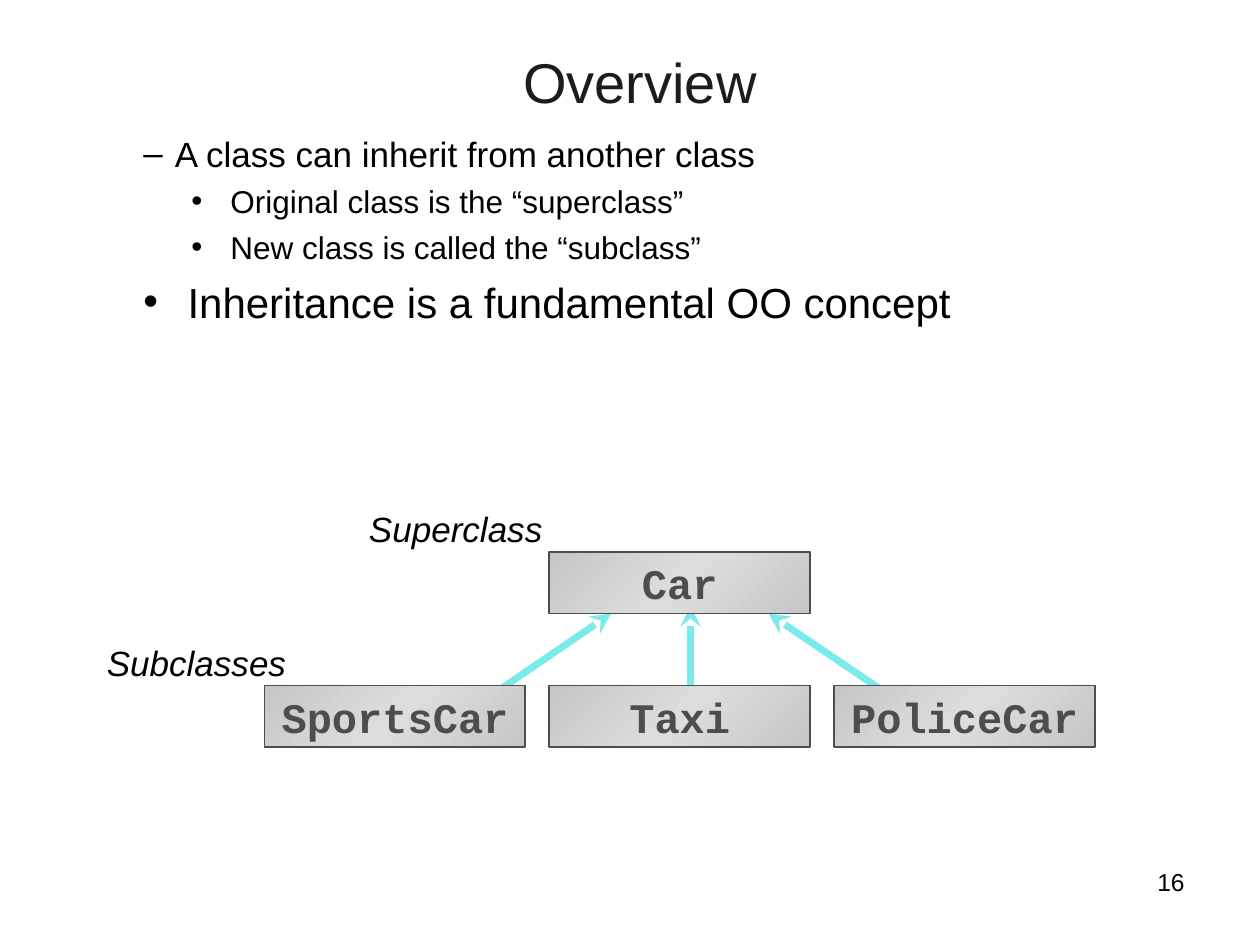
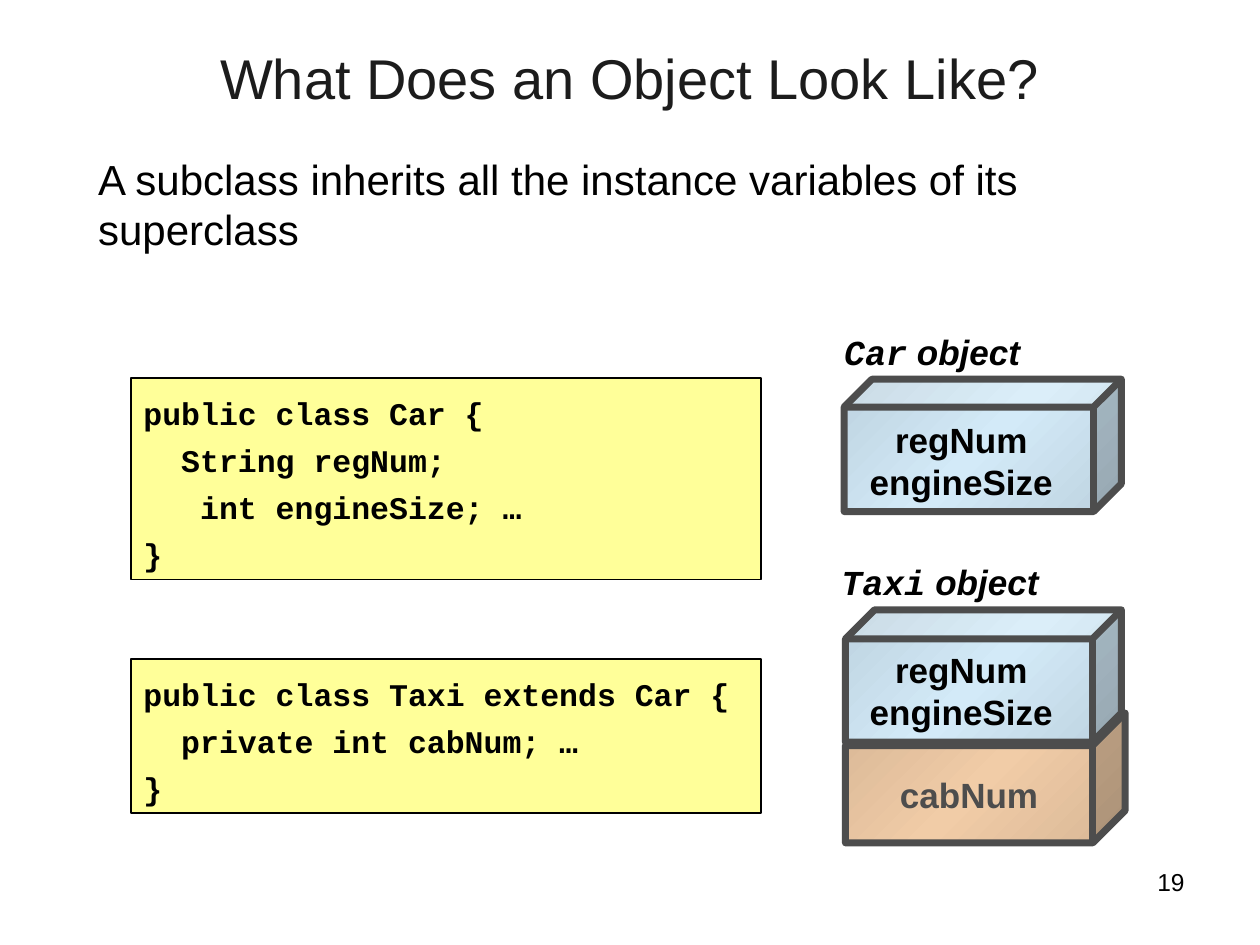
from copy import deepcopy
from dataclasses import dataclass

from lxml import etree
from pptx import Presentation
from pptx.dml.color import RGBColor
from pptx.enum.shapes import MSO_CONNECTOR, MSO_SHAPE
from pptx.enum.text import MSO_ANCHOR, PP_ALIGN
from pptx.oxml.ns import qn
from pptx.shapes.autoshape import Shape
from pptx.slide import Slide
from pptx.text.text import TextFrame
from pptx.util import Inches, Pt

LEFT, CENTER, RIGHT = PP_ALIGN.LEFT, PP_ALIGN.CENTER, PP_ALIGN.RIGHT
TOP, MIDDLE = MSO_ANCHOR.TOP, MSO_ANCHOR.MIDDLE
RECT, CUBE = MSO_SHAPE.RECTANGLE, MSO_SHAPE.CUBE
STRAIGHT = MSO_CONNECTOR.STRAIGHT

SANS, MONO = "Arial", "Courier New"
BLACK, INK, GRAY = "000000", "1C1C1C", "4D4D4D"
CYAN, YELLOW = "7BEAEA", "FFFF99"
SILVER = ("C6C6C6", "DDDDDD")
BLUE = ("BDD2DF", "D3EAF8")
TAN = ("D8B796", "F1CCA7")

Box = tuple[float, float, float, float]


@dataclass
class Run:
    text: str
    font: str


@dataclass
class Line:
    runs: str | list[Run]
    size: float = 20
    left: float = 0
    hang: float = 0
    before: float = 0
    mark: str = ""
    level: int = 0


@dataclass
class Node:
    name: str
    x: float
    y: float


@dataclass
class Arrow:
    start: tuple[float, float]
    end: tuple[float, float]


@dataclass
class Block:
    at: Box
    lines: list[Line]


@dataclass
class Cube:
    at: Box
    depth: float
    tones: tuple[str, str]
    name: str = ""


def paint(code: str) -> RGBColor:
    return RGBColor.from_string(code)


def write(frame: TextFrame, lines: list[Line], *, font: str = SANS,
          color: str = BLACK, bold: bool = False, slant: bool = False,
          align: PP_ALIGN = LEFT, anchor: MSO_ANCHOR = TOP,
          space: float = 1.0, wrap: bool = True) -> None:
    frame.word_wrap = wrap
    frame.vertical_anchor = anchor
    for i, line in enumerate(lines):
        para = frame.add_paragraph() if i else frame.paragraphs[0]
        para.alignment = align
        para.level = line.level
        para.line_spacing = space
        para.space_before = Pt(line.before)
        props = para._p.get_or_add_pPr()
        props.set("marL", str(Inches(line.left)))
        props.set("indent", str(Inches(line.hang)))
        if line.mark:
            etree.SubElement(props, qn("a:buFont")).set("typeface", SANS)
            etree.SubElement(props, qn("a:buChar")).set("char", line.mark)
        else:
            etree.SubElement(props, qn("a:buNone"))
        runs = line.runs
        if isinstance(runs, str):
            runs = [Run(runs, font)]
        for part in runs:
            run = para.add_run()
            run.text = part.text
            run.font.name = part.font
            run.font.size = Pt(line.size)
            run.font.bold = bold
            run.font.italic = slant
            run.font.color.rgb = paint(color)


def label(slide: Slide, at: Box, lines: list[Line], **style) -> None:
    box = slide.shapes.add_textbox(*map(Inches, at))
    write(box.text_frame, lines, **style)


def form(slide: Slide, kind: MSO_SHAPE, at: Box, fill: str | tuple[str, str],
         edge: str, width: float) -> Shape:
    shape = slide.shapes.add_shape(kind, *map(Inches, at))
    shape.shadow.inherit = False
    shape.line.color.rgb = paint(edge)
    shape.line.width = Pt(width)
    if isinstance(fill, str):
        shape.fill.solid()
        shape.fill.fore_color.rgb = paint(fill)
    else:
        blend(shape, *fill)
    return shape


def blend(shape: Shape, rim: str, core: str) -> None:
    shape.fill.gradient()
    shape.fill.gradient_angle = 315
    for stop in shape.fill.gradient_stops:
        stop.color.rgb = paint(rim)
    stops = shape._element.spPr.find(qn("a:gradFill")).find(qn("a:gsLst"))
    mid = deepcopy(stops[0])
    mid.set("pos", "50000")
    mid[0].set("val", core)
    stops.insert(1, mid)


def link(slide: Slide, arrow: Arrow) -> None:
    ends = map(Inches, arrow.start + arrow.end)
    line = slide.shapes.add_connector(STRAIGHT, *ends)
    line.line.color.rgb = paint(CYAN)
    line.line.width = Pt(4)
    etree.SubElement(line.line._get_or_add_ln(), qn("a:tailEnd")).set("type", "stealth")
    etree.SubElement(line._element.spPr, qn("a:effectLst"))


def start(deck: Presentation, title: str, at: Box, page: int) -> Slide:
    slide = deck.slides.add_slide(deck.slide_layouts[6])
    label(slide, (7.17, 6.83, 2.33, 0.52), [Line(str(page), 14)], align=RIGHT)
    label(slide, at, [Line(title, 32)], color=INK, align=CENTER)
    return slide


def tag(slide: Slide, at: Box, runs: str | list[Run], bold: bool = False) -> None:
    label(slide, at, [Line(runs, before=8.8)], bold=bold, slant=True, space=0.95)


def tree(deck: Presentation) -> None:
    slide = start(deck, "Overview", (0.83, 0.33, 8.5, 1.25), 16)
    label(slide, (0.92, 1, 8.52, 1.64), [
        Line("A class can inherit from another class", 20, 0.37, -0.25, 5, "–", 1),
        *(Line(text, 18, 0.81, -0.31, 4.5, "•", 2) for text in (
            "Original class is the “superclass”",
            "New class is called the “subclass”")),
        Line("Inheritance is a fundamental OO concept", 24, 0.47, -0.35, 6, "•"),
    ])
    for arrow in (Arrow((5.48, 5.46), (5.48, 4.81)),
                  Arrow((3.81, 5.58), (4.85, 4.87)),
                  Arrow((7.15, 5.58), (6.1, 4.87))):
        link(slide, arrow)
    kids = ("SportsCar", "Taxi", "PoliceCar")
    nodes = [Node("Car", 4.36, 4.38)]
    nodes += [Node(name, 2.1 + 2.26 * i, 5.44) for i, name in enumerate(kids)]
    for node in nodes:
        box = form(slide, RECT, (node.x, node.y, 2.07, 0.49), SILVER, GRAY, 1)
        write(box.text_frame, [Line(node.name, 24)], font=MONO, color=GRAY,
              bold=True, align=CENTER, anchor=MIDDLE, wrap=False)
    tag(slide, (2.83, 4, 1.72, 0.42), "Superclass")
    tag(slide, (0.75, 5.07, 1.87, 0.42), "Subclasses")


def layout(deck: Presentation) -> None:
    slide = start(deck, "What Does an Object Look Like?", (0.5, 0.3, 9, 0.7), 19)
    claim = "A subclass inherits all the instance variables of its superclass"
    label(slide, (0.68, 1.17, 8.72, 0.9), [Line(claim, 24, before=6)])

    for block in (
        Block((1.04, 3, 5, 1.6), [
            Line("public class Car {", 18),
            Line("String regNum;", 18, 0.3),
            Line("int engineSize; …", 18, 0.45),
            Line("}", 18)]),
        Block((1.04, 5.23, 5, 1.22), [
            Line("public class Taxi extends Car {", 18),
            Line("private int cabNum; …", 18, 0.3),
            Line("}", 18)]),
    ):
        box = form(slide, RECT, block.at, YELLOW, BLACK, 1)
        write(box.text_frame, block.lines, font=MONO, bold=True, space=1.25)

    for cube in (Cube((6.7, 3.01, 2.2, 1.05), 0.21, BLUE),
                 Cube((6.71, 5.66, 2.22, 1.03), 0.25, TAN, "cabNum"),
                 Cube((6.71, 4.84, 2.19, 1.05), 0.22, BLUE)):
        shape = form(slide, CUBE, cube.at, cube.tones, GRAY, 4)
        shape.adjustments[0] = cube.depth
        if cube.name:
            write(shape.text_frame, [Line(cube.name)], color=GRAY, bold=True,
                  align=CENTER, anchor=MIDDLE, wrap=False)
        else:
            label(slide, (6.76, cube.at[1] + 0.26, 1.74, 0.76),
                  [Line("regNum"), Line("engineSize")], bold=True, align=CENTER)

    for name, at in (("Car", (6.6, 2.6, 1.72, 0.42)),
                     ("Taxi", (6.58, 4.42, 2.04, 0.42))):
        tag(slide, at, [Run(name, MONO), Run(" object", SANS)], bold=True)


def main() -> None:
    deck = Presentation()
    deck.slide_width, deck.slide_height = Inches(10), Inches(7.5)
    tree(deck)
    layout(deck)
    deck.save("out.pptx")


main()
